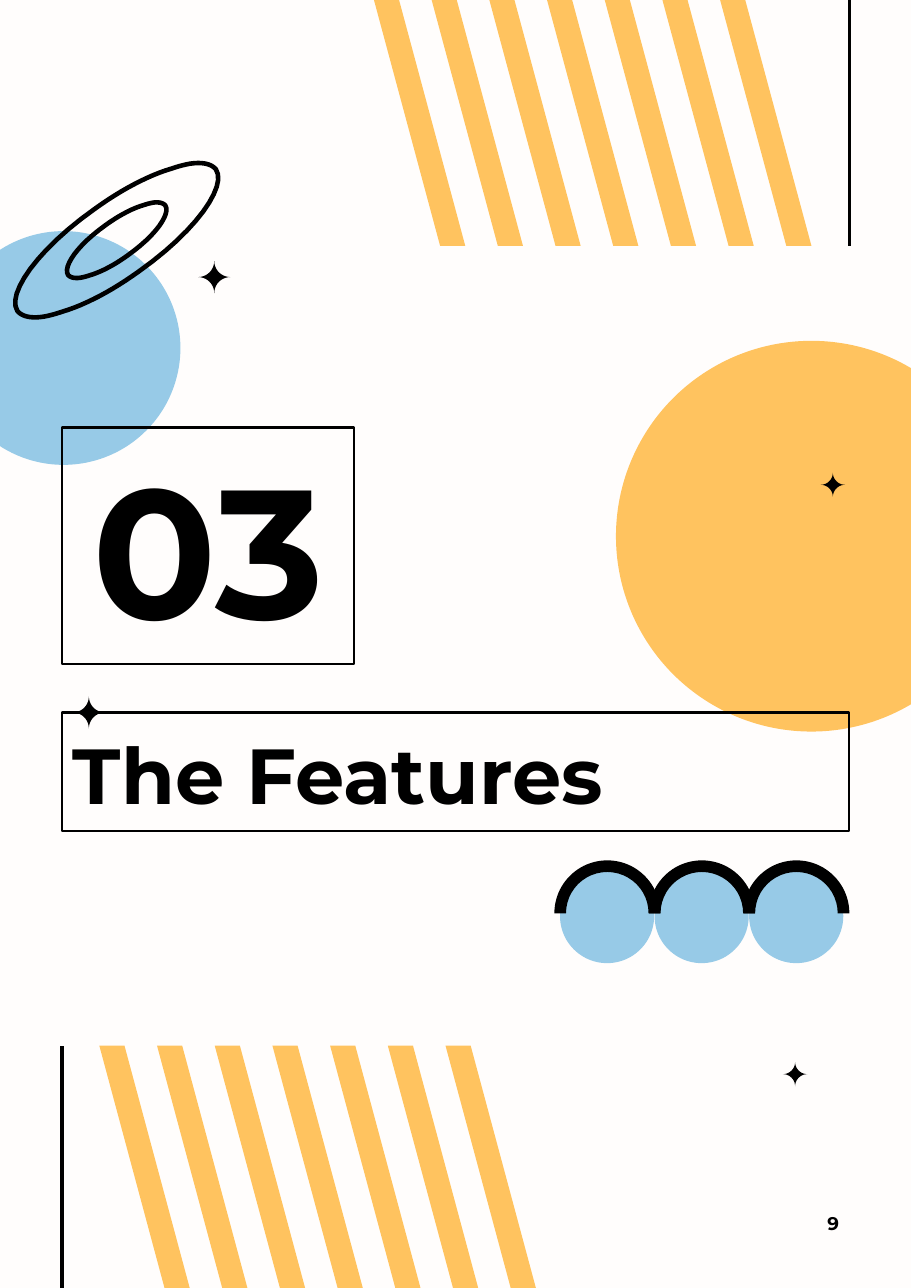
from math import cos, pi, sin

from pptx import Presentation
from pptx.dml.color import RGBColor
from pptx.enum.shapes import MSO_CONNECTOR, MSO_SHAPE
from pptx.enum.text import MSO_ANCHOR as ANCHOR, PP_ALIGN as ALIGN
from pptx.oxml.ns import qn
from pptx.util import Cm, Pt
from lxml.etree import SubElement

COLORS = {"paper": "FFFDFC", "orange": "FFC35F", "blue": "97CAE7", "ink": "000000"}
FONT = "Montserrat"
PAGE_W, PAGE_H = 21.0, 29.7
LEFT, RIGHT = 1.43, 19.58
STRIPES, STRIPE_STEP, STRIPE_W, SLOPE = 7, 1.33, 0.58, 0.269

# Half of the tilted orbit around its centre: a start, then cubic curves
ORBIT_START = (1.88, -1.78)
ORBIT_CURVES = [
    [(1.7, -1.78), (1.5, -1.73), (1.26, -1.65)],
    [(0.72, -1.49), (0.1, -1.16), (-0.51, -0.72)],
    [(-1.84, 0.22), (-2.54, 1.24), (-2.29, 1.63)],
    [(-2.21, 1.73), (-2.07, 1.78), (-1.88, 1.78)],
]


def rgb(name):
    return RGBColor.from_string(COLORS[name])


def paint(sp, fill=None, line=None, width=1.5):
    sp.shadow.inherit = False
    if fill:
        sp.fill.solid()
        sp.fill.fore_color.rgb = rgb(fill)
    else:
        sp.fill.background()
    if line:
        sp.line.color.rgb = rgb(line)
        sp.line.width = Pt(width)
    else:
        sp.line.fill.background()


def add_preset(s, kind, x, y, w, h, **style):
    sp = s.shapes.add_shape(kind, Cm(x), Cm(y), Cm(w), Cm(h))
    paint(sp, **style)
    return sp


def add_outline(s, points, **style):
    pts = [(Cm(x), Cm(y)) for x, y in points]
    fb = s.shapes.build_freeform(*pts[0])
    fb.add_line_segments(pts[1:], close=True)
    paint(fb.convert_to_shape(), **style)


def add_stripes(s, x, top, bottom):
    shift = (bottom - top) * SLOPE
    for i in range(STRIPES):
        x0 = x + i * STRIPE_STEP
        add_outline(s, [(x0, top), (x0 + STRIPE_W, top),
                        (x0 + STRIPE_W + shift, bottom), (x0 + shift, bottom)],
                    fill="orange")


def add_rule(s, x, top, bottom):
    ln = s.shapes.add_connector(MSO_CONNECTOR.STRAIGHT, Cm(x), Cm(top), Cm(x), Cm(bottom))
    ln.line.color.rgb = rgb("ink")
    ln.line.width = Pt(2.25)
    SubElement(ln._element.spPr, qn("a:effectLst"))


def add_sparkle(s, cx, cy, r, steps=10):
    """Four-pointed star whose sides are quarter circles curving inwards."""
    points = []
    for quarter in range(4):
        turn = quarter * pi / 2
        for i in range(steps):
            a = i / steps * pi / 2
            x, y = r * (1 - cos(a)), r * (sin(a) - 1)
            points.append((cx + x * cos(turn) - y * sin(turn),
                           cy + x * sin(turn) + y * cos(turn)))
    add_outline(s, points, fill="ink")


def curve_points(p0, p1, p2, p3, steps=12):
    for i in range(steps):
        t = i / steps
        u = 1 - t
        yield tuple(u**3 * a + 3 * u * u * t * b + 3 * u * t * t * c + t**3 * d
                    for a, b, c, d in zip(p0, p1, p2, p3))


def add_orbit(s, cx, cy, scale):
    half, start = [], ORBIT_START
    for curve in ORBIT_CURVES:
        half += curve_points(start, *curve)
        start = curve[-1]
    ring = half + [(-x, -y) for x, y in half]
    add_outline(s, [(cx + scale * x, cy + scale * y) for x, y in ring],
                line="ink", width=3)


def add_waves(s, x, y):
    step = 2.18
    for i in range(3):
        add_preset(s, MSO_SHAPE.OVAL, x + 0.13 + i * step, y + 0.2, 2.17, 2.17, fill="blue")
    for i in range(3):
        arc = add_preset(s, MSO_SHAPE.BLOCK_ARC, x + i * step, y, 2.44, 2.44, fill="ink")
        arc.adjustments[2] = 0.11


def write(sp, text, size, align, anchor):
    tf = sp.text_frame
    tf.word_wrap = True
    tf.vertical_anchor = anchor
    tf.margin_left = tf.margin_right = tf.margin_top = tf.margin_bottom = Cm(0.25)
    p = tf.paragraphs[0]
    p.alignment = align
    r = p.add_run()
    r.text = text
    r.font.name = FONT
    r.font.size = Pt(size)
    r.font.bold = True
    r.font.color.rgb = rgb("ink")


def add_frame(s, x, y, w, h, text, size, align, anchor):
    sp = add_preset(s, MSO_SHAPE.RECTANGLE, x, y, w, h, line="ink")
    write(sp, text, size, align, anchor)


def main():
    prs = Presentation()
    prs.slide_width, prs.slide_height = Cm(PAGE_W), Cm(PAGE_H)
    s = prs.slides.add_slide(prs.slide_layouts[6])
    s.background.fill.solid()
    s.background.fill.fore_color.rgb = rgb("paper")

    # Striped bands and margin rules
    add_stripes(s, 2.29, 24.11, PAGE_H)
    add_rule(s, LEFT, 24.12, PAGE_H)
    add_stripes(s, 8.62, 0, 5.67)
    add_rule(s, RIGHT, 0, 5.67)

    # Planets, orbits and waves
    add_preset(s, MSO_SHAPE.OVAL, 14.2, 7.86, 9.01, 9.01, fill="orange")
    add_preset(s, MSO_SHAPE.OVAL, -1.23, 5.33, 5.39, 5.39, fill="blue")
    for scale in (1, 0.49):
        add_orbit(s, 2.69, 5.54, scale)
    add_waves(s, 12.78, 19.84)

    # Page number
    tb = s.shapes.add_textbox(Cm(17.86), Cm(27.79), Cm(1.73), Cm(0.84))
    write(tb, "9", 12, ALIGN.RIGHT, ANCHOR.MIDDLE)

    # Section title and number
    add_frame(s, LEFT, 16.43, RIGHT - LEFT, 2.74, "The Features", 51, ALIGN.LEFT, ANCHOR.BOTTOM)
    add_frame(s, LEFT, 9.86, 6.73, 5.46, "03", 120, ALIGN.CENTER, ANCHOR.MIDDLE)

    # Sparkles
    for cx, cy, r in [(4.94, 6.39, 0.37), (18.33, 24.77, 0.28),
                      (19.2, 11.18, 0.28), (2.05, 16.43, 0.37)]:
        add_sparkle(s, cx, cy, r)

    prs.save("out.pptx")


if __name__ == "__main__":
    main()
